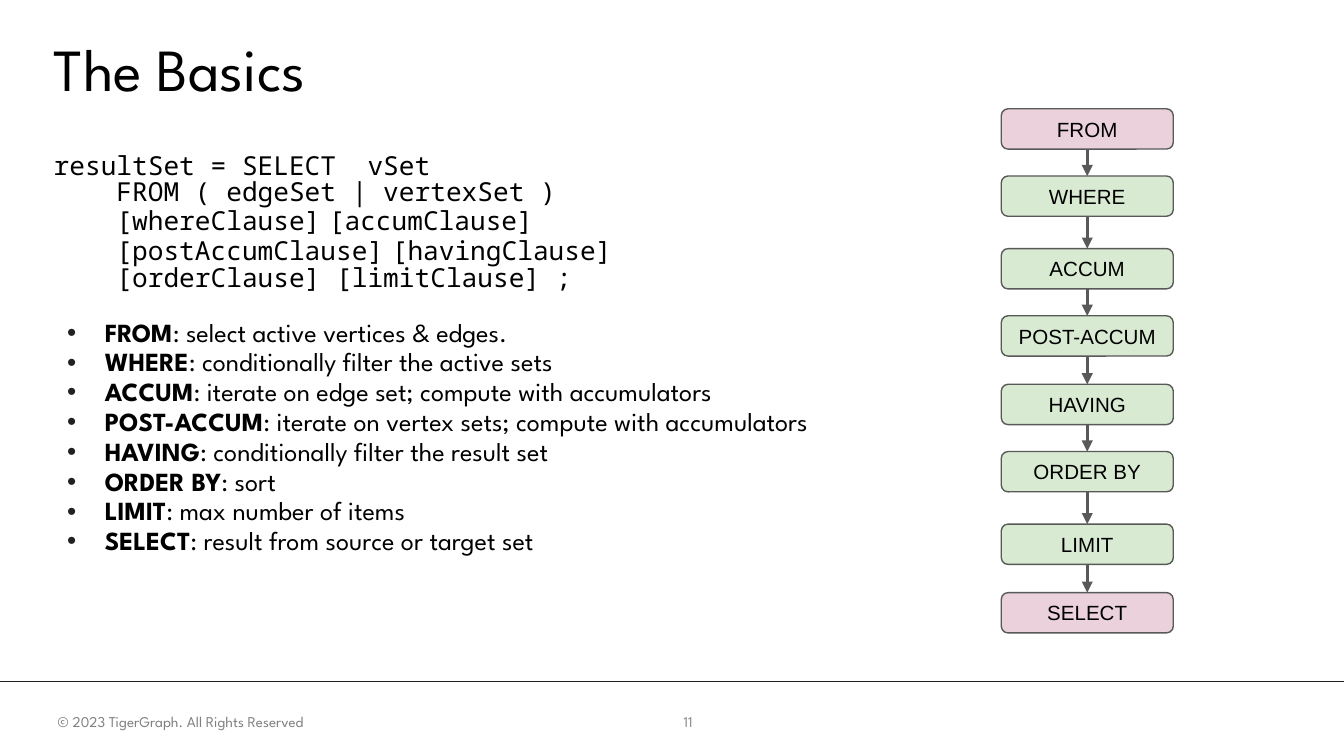
from itertools import pairwise

from lxml.etree import SubElement
from pptx import Presentation
from pptx.dml.color import RGBColor
from pptx.enum.shapes import MSO_CONNECTOR as Connector, MSO_SHAPE as Shape
from pptx.enum.text import MSO_ANCHOR as Anchor, PP_ALIGN as Align
from pptx.oxml.ns import qn
from pptx.util import Inches, Pt

BODY_FONT, CODE_FONT, STEP_FONT = "League Spartan", "Noto Sans Mono", "Arial"
BLACK, INK, GRAY = "000000", "212121", "595959"
GREEN, PINK = "D9EAD3", "EAD1DC"

CODE_LINES = [
    ["resultSet = SELECT  vSet"],
    ["    FROM ( edgeSet | vertexSet )"],
    ["    [whereClause]", "[accumClause]"],
    ["    [postAccumClause]", "[havingClause]"],
    ["    [orderClause] [limitClause] ;"],
]
CLAUSES = [
    ("FROM", "select active vertices & edges."),
    ("WHERE", "conditionally filter the active sets"),
    ("ACCUM", "iterate on edge set; compute with accumulators"),
    ("POST-ACCUM", "iterate on vertex sets; compute with accumulators"),
    ("HAVING", "conditionally filter the result set"),
    ("ORDER BY", "sort"),
    ("LIMIT", "max number of items"),
    ("SELECT", "result from source or target set"),
]
STEP_TOPS = [0.81, 1.31, 1.85, 2.35, 2.86, 3.36, 3.9, 4.41]


def color(value):
    return RGBColor.from_string(value)


class SlideBuilder:
    """Holds the slide and draws its styled elements."""

    def __init__(self, slide):
        self.slide = slide

    def frame(self, shape, inset, anchor):
        frame = shape.text_frame
        frame.word_wrap = True
        frame.vertical_anchor = anchor
        frame.margin_left = frame.margin_right = Inches(0.07)
        frame.margin_top = frame.margin_bottom = Inches(inset)
        return frame

    def box(self, left, top, width, height, inset=0.04, anchor=Anchor.TOP):
        shape = self.slide.shapes.add_textbox(
            Inches(left), Inches(top), Inches(width), Inches(height))
        return self.frame(shape, inset, anchor)

    def run(self, paragraph, text, size, font=BODY_FONT, fill=BLACK, bold=False):
        run = paragraph.add_run()
        run.text = text
        run.font.size = Pt(size)
        run.font.name = font
        run.font.bold = bold
        run.font.color.rgb = color(fill)

    def code(self, paragraph, parts):
        paragraph.line_spacing = 0.8
        for index, part in enumerate(parts):
            if index:
                self.run(paragraph, " ", 17)
            self.run(paragraph, part, 14, CODE_FONT)

    def bullet(self, paragraph, term, meaning):
        properties = paragraph._p.get_or_add_pPr()
        properties.set("marL", str(Inches(0.38)))
        properties.set("indent", str(Inches(-0.28)))
        bullet_color = SubElement(properties, qn("a:buClr"))
        SubElement(bullet_color, qn("a:srgbClr")).set("val", INK)
        SubElement(properties, qn("a:buFont")).set("typeface", STEP_FONT)
        SubElement(properties, qn("a:buChar")).set("char", "•")
        paragraph.line_spacing = 0.95
        self.run(paragraph, term, 14, bold=True)
        self.run(paragraph, f": {meaning}", 14)

    def step(self, name, top, fill):
        shape = self.slide.shapes.add_shape(
            Shape.ROUNDED_RECTANGLE, Inches(7.45), Inches(top), Inches(1.28), Inches(0.3))
        shape.shadow.inherit = False
        shape.fill.solid()
        shape.fill.fore_color.rgb = color(fill)
        shape.line.color.rgb = color(GRAY)
        shape.line.width = Pt(0.75)
        paragraph = self.frame(shape, 0.07, Anchor.MIDDLE).paragraphs[0]
        paragraph.alignment = Align.CENTER
        self.run(paragraph, name, 11, STEP_FONT)
        return shape

    def line(self, start, end, stroke, width):
        line = self.slide.shapes.add_connector(
            Connector.STRAIGHT, *(Inches(value) for value in (*start, *end)))
        line.line.color.rgb = color(stroke)
        line.line.width = Pt(width)
        SubElement(line._element.spPr, qn("a:effectLst"))
        return line

    def arrow(self, source, target):
        arrow = self.line((0, 0), (0, 0), GRAY, 1.5)
        arrow.begin_connect(source, 2)
        arrow.end_connect(target, 0)
        SubElement(arrow.line._get_or_add_ln(), qn("a:tailEnd")).set("type", "triangle")


def main():
    presentation = Presentation()
    presentation.slide_width = Inches(10)
    presentation.slide_height = Inches(10) * 9 // 16
    builder = SlideBuilder(presentation.slides.add_slide(presentation.slide_layouts[6]))

    copyright_line = builder.box(0.36, 5.26, 2.44, 0.2).paragraphs[0]
    builder.run(copyright_line, "© 2023 TigerGraph. All Rights Reserved", 8, fill="7F7F7F")
    builder.line((0, 5.07), (10, 5.07), INK, 0.75)

    title = builder.box(0.33, 0.1, 9.17, 0.87, 0.07, Anchor.MIDDLE).paragraphs[0]
    title.line_spacing = 0.9
    builder.run(title, "The Basics", 32)

    body = builder.box(0.33, 1.12, 9.17, 3.84)
    for index, parts in enumerate(CODE_LINES):
        builder.code(body.add_paragraph() if index else body.paragraphs[0], parts)
    for index, (term, meaning) in enumerate(CLAUSES):
        paragraph = body.add_paragraph()
        builder.bullet(paragraph, term, meaning)
        paragraph.space_before = Pt(0 if index else 14)

    number = builder.box(4.9, 5.22, 0.44, 0.3, anchor=Anchor.MIDDLE).paragraphs[0]
    number.alignment = Align.CENTER
    builder.run(number, "11", 8, fill="888888")

    steps = [builder.step(name, top, PINK if name in ("FROM", "SELECT") else GREEN)
             for (name, _), top in zip(CLAUSES, STEP_TOPS)]
    for source, target in pairwise(steps):
        builder.arrow(source, target)

    presentation.save("out.pptx")


if __name__ == "__main__":
    main()
